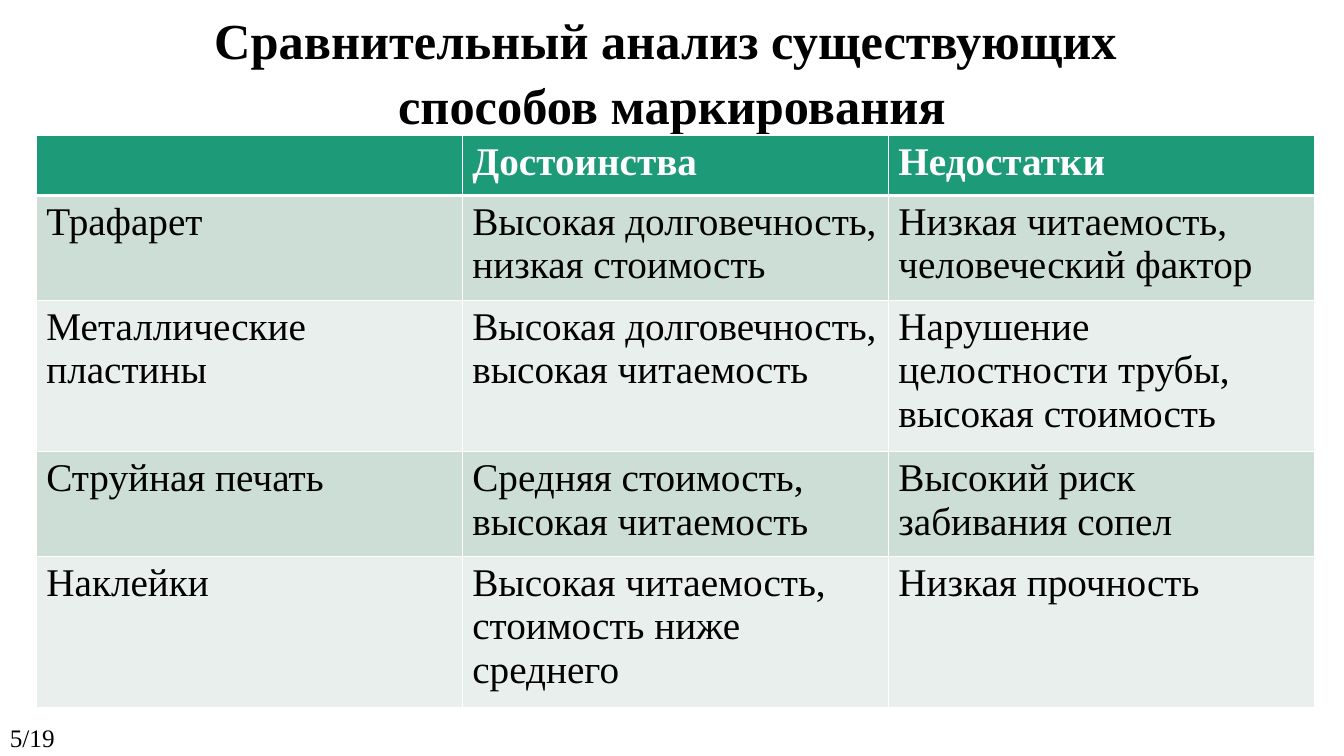
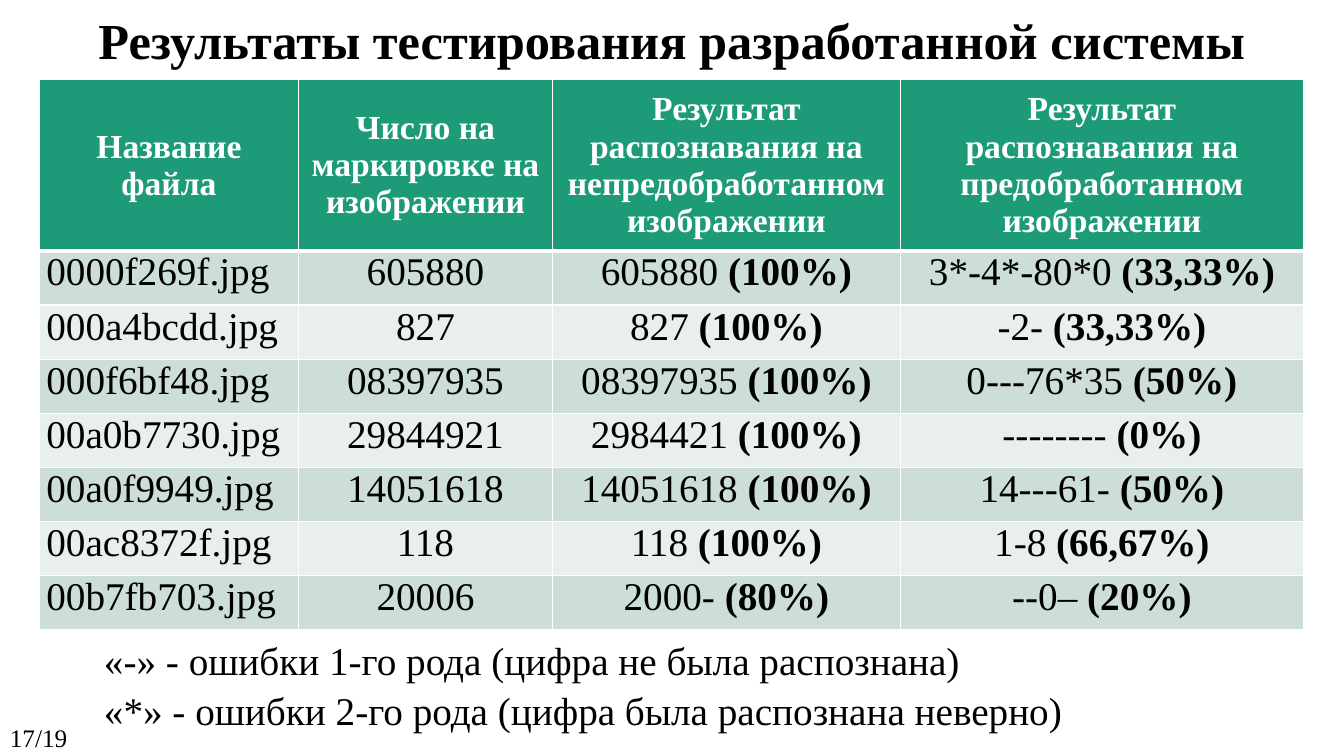
import pptx
import pptx.dml.color
import pptx.enum.text
import pptx.oxml
import pptx.oxml.ns
import pptx.util

ALIGN = pptx.enum.text.PP_ALIGN
ANCHOR = pptx.enum.text.MSO_ANCHOR


def rgb(value):
    return pptx.dml.color.RGBColor.from_string(value)


class Deck:
    """Shared style and the current slide; all lengths are percent of the slide."""
    FONT = "Times New Roman"
    BLACK, WHITE = "000000", "FFFFFF"
    HEADER, BANDS = "1D9A78", ("CDDED6", "E8EFEC")
    TITLE, BODY, NUMBER = 36, 28, 18
    LINE_SPACING = 1.07
    PAGES = 19

    def __init__(self):
        self.prs = pptx.Presentation()
        self.prs.slide_width = pptx.util.Inches(13.33)
        self.prs.slide_height = pptx.util.Inches(7.5)
        self.s = None

    def x(self, share):
        return round(self.prs.slide_width * share / 100)

    def y(self, share):
        return round(self.prs.slide_height * share / 100)

    def add_slide(self, title, page, title_height, number_width):
        self.s = self.prs.slides.add_slide(self.prs.slide_layouts[6])
        self.add_text(title, 0, 0, 100, title_height, self.TITLE,
                      bold=True, align=ALIGN.CENTER)
        self.add_text(f"{page}/{self.PAGES}", 0, 94.67, number_width, 5.33, self.NUMBER)

    def format_run(self, r, size, color, bold):
        r.font.name = self.FONT
        r.font.size = pptx.util.Pt(size)
        r.font.bold = bold
        r.font.color.rgb = rgb(color)

    def add_text(self, text, left, top, width, height, size, bold=False, align=ALIGN.LEFT):
        sp = self.s.shapes.add_textbox(self.x(left), self.y(top), self.x(width), self.y(height))
        tf = sp.text_frame
        tf.word_wrap = True
        tf.text = text
        for p in tf.paragraphs:
            p.alignment = align
            p.line_spacing = self.LINE_SPACING
            for r in p.runs:
                self.format_run(r, size, self.BLACK, bold)

    def add_borders(self, cell, top, bottom):
        """White cell borders; top and bottom are widths in points."""
        tc_pr = cell._tc.get_or_add_tcPr()
        for i, (side, width) in enumerate(zip("LRTB", (1, 1, top, bottom))):
            tc_pr.insert(i, pptx.oxml.parse_xml(
                f'<a:ln{side} {pptx.oxml.ns.nsdecls("a")} w="{pptx.util.Pt(width)}">'
                f'<a:solidFill><a:srgbClr val="{self.WHITE}"/></a:solidFill></a:ln{side}>'))

    def fill_cell(self, cell, text, size, color, bold, align):
        """Write the text, with a bracketed tail in bold."""
        plain, bracket, tail = text.partition("(")
        p = cell.text_frame.paragraphs[0]
        p.text = plain
        p.alignment = align
        for r in p.runs:
            self.format_run(r, size, color, bold)
        if tail:
            r = p.add_run()
            r.text = bracket + tail
            self.format_run(r, size, color, True)

    def add_table(self, rows, left, top, widths, heights, header_size,
                  header_align=ALIGN.LEFT, aligns=None, header_anchor=ANCHOR.TOP, tight=False):
        """Table with a green header and banded rows; tight trims the body margins."""
        table = self.s.shapes.add_table(
            len(rows), len(widths), self.x(left), self.y(top),
            self.x(sum(widths)), self.y(sum(heights))).table
        table.horz_banding = False
        for column, width in zip(table.columns, widths):
            column.width = self.x(width)
        for i, (values, height) in enumerate(zip(rows, heights)):
            table.rows[i].height = self.y(height)
            for j, text in enumerate(values):
                cell = table.cell(i, j)
                cell.fill.solid()
                if i == 0:
                    cell.fill.fore_color.rgb = rgb(self.HEADER)
                    cell.vertical_anchor = header_anchor
                    self.fill_cell(cell, text, header_size, self.WHITE, True, header_align)
                else:
                    cell.fill.fore_color.rgb = rgb(self.BANDS[(i - 1) % 2])
                    self.fill_cell(cell, text, self.BODY, self.BLACK, False,
                                   aligns[j] if aligns else ALIGN.LEFT)
                    if tight:
                        cell.margin_left = cell.margin_right = pptx.util.Inches(0.07)
                        cell.margin_top = cell.margin_bottom = 0
                self.add_borders(cell, top=3 if i == 1 else 1, bottom=3 if i == 0 else 1)


METHODS = [
    ("", "Достоинства", "Недостатки"),
    ("Трафарет", "Высокая долговечность, низкая стоимость",
     "Низкая читаемость, человеческий фактор"),
    ("Металлические пластины", "Высокая долговечность, высокая читаемость",
     "Нарушение целостности трубы, высокая стоимость"),
    ("Струйная печать", "Средняя стоимость, высокая читаемость",
     "Высокий риск забивания сопел"),
    ("Наклейки", "Высокая читаемость, стоимость ниже среднего", "Низкая прочность"),
]

RESULTS = [
    ("Название файла", "Число на маркировке на изображении",
     "Результат распознавания на непредобработанном изображении",
     "Результат распознавания на предобработанном изображении"),
    ("0000f269f.jpg", "605880", "605880 (100%)", "3*-4*-80*0 (33,33%)"),
    ("000a4bcdd.jpg", "827", "827 (100%)", "-2- (33,33%)"),
    ("000f6bf48.jpg", "08397935", "08397935 (100%)", "0---76*35 (50%)"),
    ("00a0b7730.jpg", "29844921", "2984421 (100%)", "-------- (0%)"),
    ("00a0f9949.jpg", "14051618", "14051618 (100%)", "14---61- (50%)"),
    ("00ac8372f.jpg", "118", "118 (100%)", "1-8 (66,67%)"),
    ("00b7fb703.jpg", "20006", "2000- (80%)", "--0– (20%)"),
]


def main():
    deck = Deck()

    deck.add_slide("Сравнительный анализ существующих \nспособов маркирования",
                   page=5, title_height=17.47, number_width=5.25)
    deck.add_table(METHODS, 2.7, 17.87, [31.7] * 3, [8, 13.87, 20, 13.87, 20],
                   header_size=28)

    deck.add_slide("Результаты тестирования разработанной системы",
                   page=17, title_height=9.47, number_width=7)
    deck.add_table(RESULTS, 2.93, 10.53, [19.28, 18.9, 25.88, 30], [22.5] + [7.15] * 7,
                   header_size=24, header_align=ALIGN.CENTER,
                   aligns=[ALIGN.JUSTIFY] + [ALIGN.CENTER] * 3,
                   header_anchor=ANCHOR.MIDDLE, tight=True)
    deck.add_text("«-» - ошибки 1-го рода (цифра не была распознана)\n"
                  "«*» - ошибки 2-го рода (цифра была распознана неверно)",
                  7, 83.07, 73.6, 13.87, Deck.BODY)

    deck.prs.save("out.pptx")


if __name__ == "__main__":
    main()
